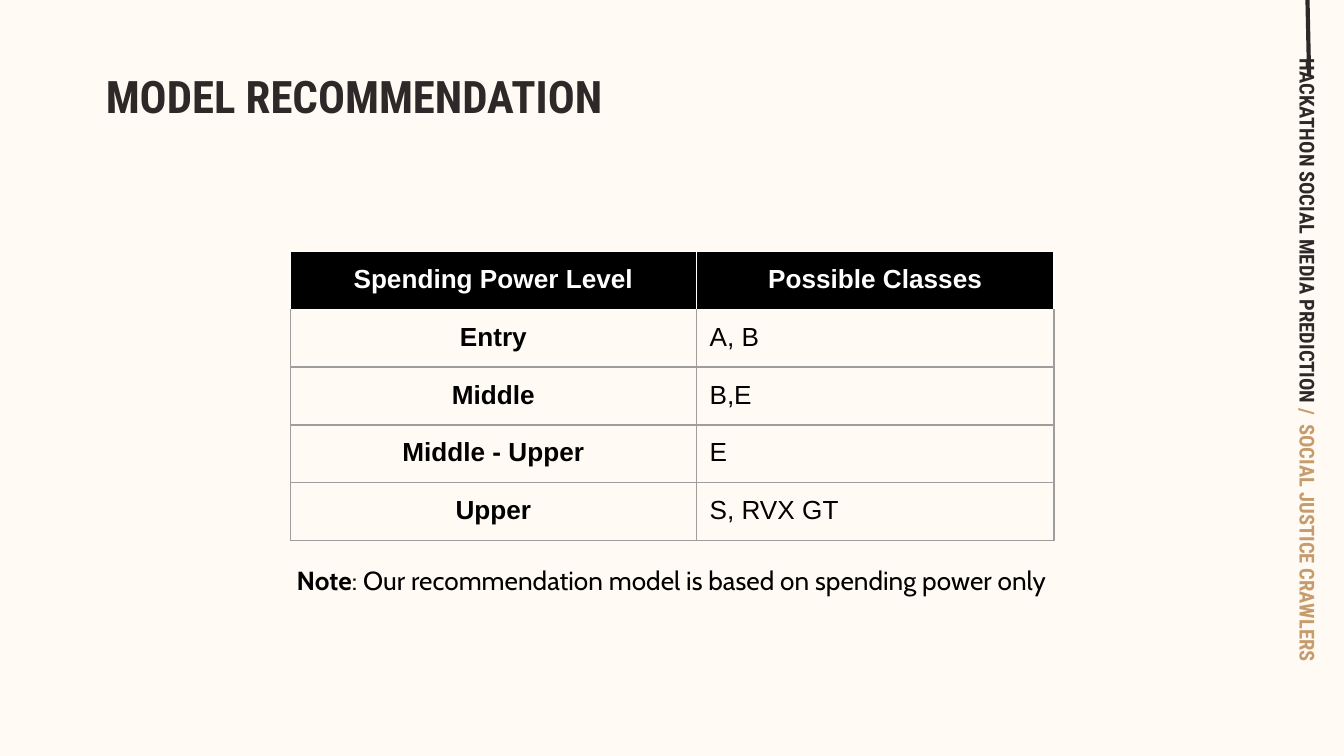
"""Build the model recommendation slide with its spending power table."""
from pptx import Presentation
from pptx.dml.color import RGBColor
from pptx.enum.shapes import MSO_CONNECTOR
from pptx.enum.text import MSO_ANCHOR, PP_ALIGN
from pptx.oxml.ns import qn
from pptx.util import Cm, Pt
from lxml.etree import SubElement

CREAM = RGBColor(0xFF, 0xFA, 0xF4)
CHARCOAL = RGBColor(0x2D, 0x29, 0x29)
TAN = RGBColor(0xC6, 0x9C, 0x6D)
BLACK = RGBColor(0, 0, 0)
WHITE = RGBColor(0xFF, 0xFF, 0xFF)
GRAY = RGBColor(0x9E, 0x9E, 0x9E)
INSET = Cm(0.25)


def add_text(page, left, top, width, height, anchor, align, font_name, size, spans):
    box = page.shapes.add_textbox(Cm(left), Cm(top), Cm(width), Cm(height))
    frame = box.text_frame
    frame.word_wrap = True
    frame.vertical_anchor = anchor
    frame.margin_left = frame.margin_right = INSET
    frame.margin_top = frame.margin_bottom = INSET
    para = frame.paragraphs[0]
    para.alignment = align
    para.font.name = font_name
    para.font.size = Pt(size)
    for text, color, bold in spans:
        span = para.add_run()
        span.text = text
        span.font.color.rgb = color
        span.font.bold = bold
    return box


def set_borders(cell, colors):
    properties = cell._tc.get_or_add_tcPr()
    for side, color in zip("LRTB", colors):
        line = SubElement(properties, qn(f"a:ln{side}"), w=str(Pt(0.75)))
        fill = SubElement(line, qn("a:solidFill"))
        SubElement(fill, qn("a:srgbClr"), val=str(color))


deck = Presentation()
deck.slide_width = Cm(25.4)
deck.slide_height = Cm(14.29)
page = deck.slides.add_slide(deck.slide_layouts[6])
page.background.fill.solid()
page.background.fill.fore_color.rgb = CREAM

rule = page.shapes.add_connector(
    MSO_CONNECTOR.STRAIGHT, Cm(24.71), Cm(0), Cm(24.74), Cm(1.42))
rule.line.color.rgb = CHARCOAL
rule.line.width = Pt(2.25)
SubElement(rule._element.spPr, qn("a:effectLst"))

title = add_text(page, 1.75, 0.71, 14.15, 1.85, MSO_ANCHOR.BOTTOM, PP_ALIGN.LEFT,
                 "Roboto Condensed", 24, [("MODEL RECOMMENDATION", CHARCOAL, True)])
title.text_frame.paragraphs[0].line_spacing = 1.15

side_label = add_text(page, 18.57, 6.35, 12.29, 0.53, MSO_ANCHOR.MIDDLE, PP_ALIGN.RIGHT,
                      "Roboto Condensed", 11,
                      [("HACKATHON SOCIAL MEDIA PREDICTION", CHARCOAL, True),
                       (" /  SOCIAL JUSTICE CRAWLERS", TAN, True)])
side_label.rotation = 90

rows = [
    ("Spending Power Level", "Possible Classes"),
    ("Entry", "A, B"),
    ("Middle", "B,E"),
    ("Middle - Upper", "E"),
    ("Upper", "S, RVX GT"),
]
column_widths = [7.67, 6.76]
row_height = 1.06
table = page.shapes.add_table(
    len(rows), len(column_widths), Cm(5.49), Cm(4.75),
    Cm(sum(column_widths)), Cm(row_height * len(rows))).table
for column, width in zip(table.columns, column_widths):
    column.width = Cm(width)

for row_index, values in enumerate(rows):
    table.rows[row_index].height = Cm(row_height)
    is_header = row_index == 0
    for column_index, value in enumerate(values):
        cell = table.cell(row_index, column_index)
        cell.margin_left = cell.margin_right = INSET
        cell.margin_top = cell.margin_bottom = INSET
        side_color = WHITE if is_header else GRAY
        top_color = WHITE if row_index <= 1 else GRAY
        set_borders(cell, [side_color, side_color, top_color, side_color])
        if is_header:
            cell.fill.solid()
            cell.fill.fore_color.rgb = BLACK
        else:
            cell.fill.background()
        cell.text = value
        para = cell.text_frame.paragraphs[0]
        is_label = is_header or column_index == 0
        para.alignment = PP_ALIGN.CENTER if is_label else PP_ALIGN.LEFT
        para.font.name = "Arial"
        para.font.size = Pt(14)
        para.font.bold = is_label
        para.font.color.rgb = WHITE if is_header else BLACK

add_text(page, 4.06, 10.41, 17.27, 3.3, MSO_ANCHOR.TOP, PP_ALIGN.CENTER, "Cabin", 14,
         [("Note", BLACK, True),
          (": Our recommendation model is based on spending power only", BLACK, False)])

deck.save("out.pptx")
